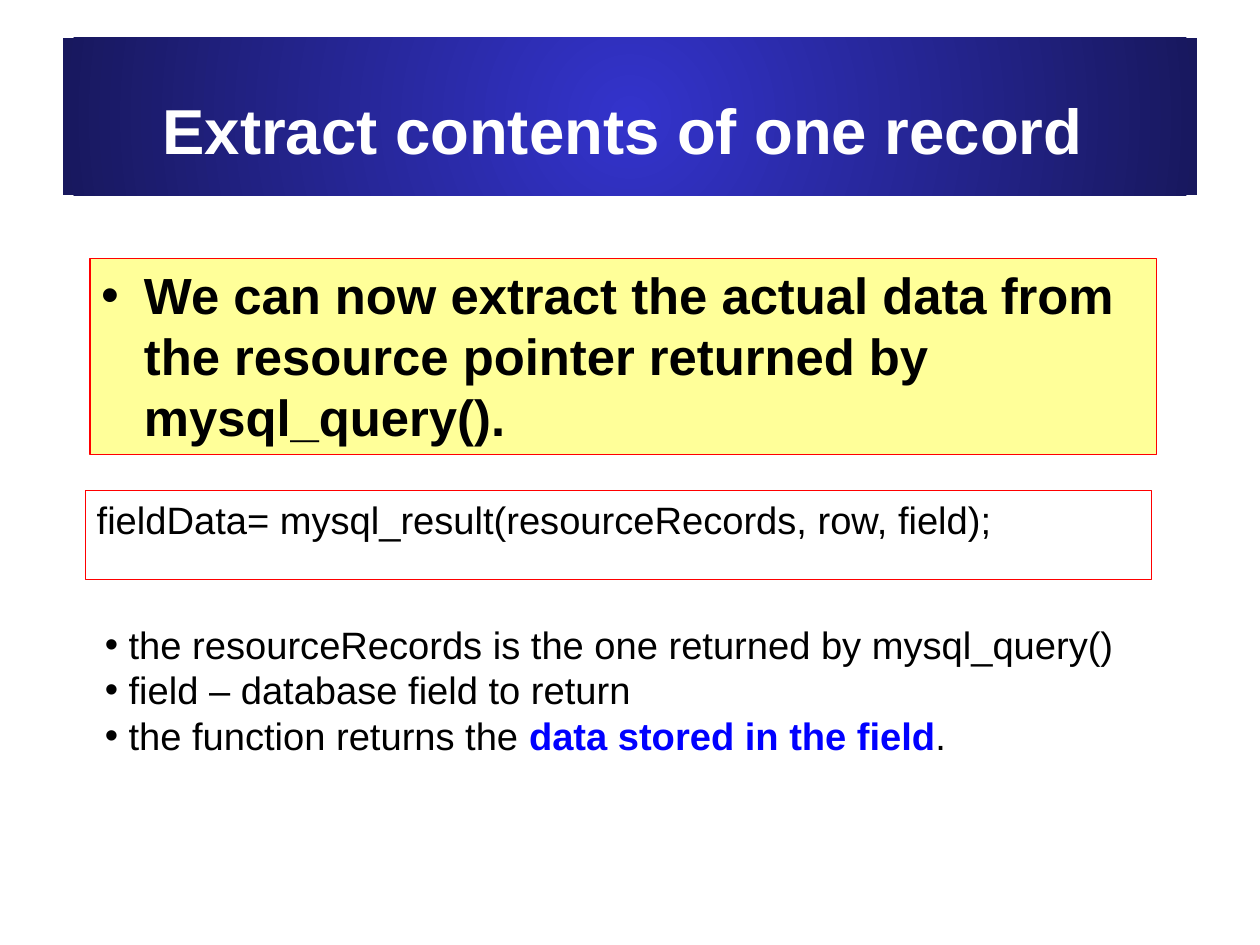
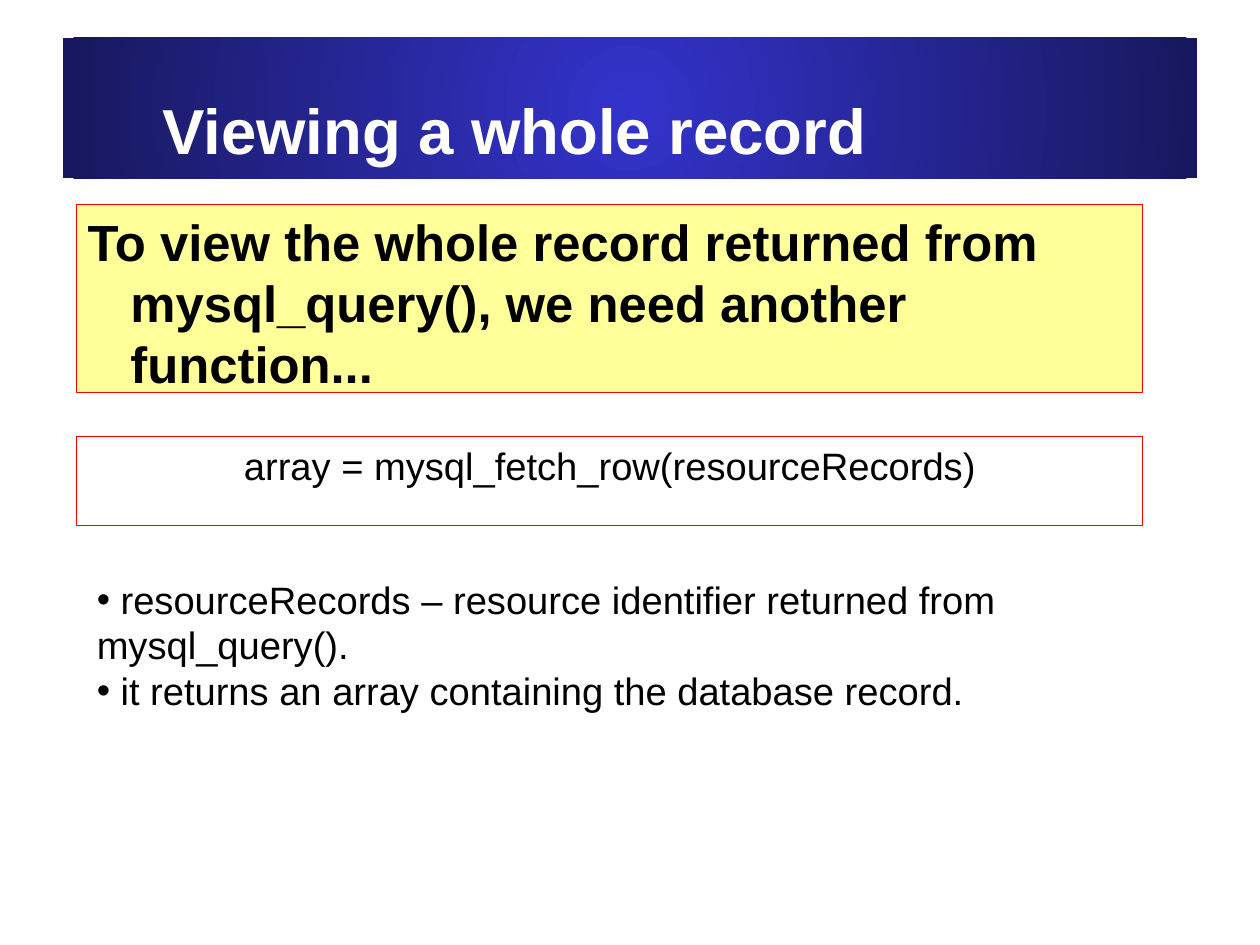
"""Builds two slides on reading records returned by a database query."""
from lxml import etree
from pptx import Presentation
from pptx.dml.color import RGBColor
from pptx.enum.shapes import MSO_SHAPE
from pptx.enum.text import MSO_ANCHOR, MSO_AUTO_SIZE, PP_ALIGN
from pptx.oxml.ns import qn
from pptx.util import Cm, Pt

RECTANGLE = MSO_SHAPE.RECTANGLE
TOP = MSO_ANCHOR.TOP
NO_AUTOFIT = MSO_AUTO_SIZE.NONE
LEFT, CENTER = PP_ALIGN.LEFT, PP_ALIGN.CENTER

FONT = "Arial"
BLACK, WHITE, RED, YELLOW = "000000", "FFFFFF", "FF0000", "FFFF99"
BLUE, BAND_CENTER, BAND_EDGE = "0000FF", "3333CC", "18185E"
BOX_WIDTH, CODE_HEIGHT, LIST_WIDTH = 23.7, 1.98, 24.03
BOX_INSETS, TITLE_INSETS = (0.25, 0.13, 0.25, 0.13), (2.21, 1.19, 0, 0)
HANGING, FLUSH = (0.95, -0.95), (0, -0.43)


def color(code):
    return RGBColor.from_string(code)


class RecordDeck:
    def __init__(self):
        self.deck = Presentation()
        self.deck.slide_width, self.deck.slide_height = Cm(28), Cm(21)
        self.page = None

    def place(self, shape, left, top, width, height):
        shape.left, shape.top = Cm(left), Cm(top)
        shape.width, shape.height = Cm(width), Cm(height)

    def frame(self, shape, insets):
        frame = shape.text_frame
        frame.word_wrap, frame.auto_size = True, NO_AUTOFIT
        frame.vertical_anchor = TOP
        (frame.margin_left, frame.margin_top,
         frame.margin_right, frame.margin_bottom) = map(Cm, insets)
        return frame

    def fill_para(self, para, spans, size, align=LEFT, indent=(0, 0), bullet=False):
        para.alignment, para.space_before = align, Pt(0)
        properties = para._p.get_or_add_pPr()
        properties.set("marL", str(Cm(indent[0])))
        properties.set("indent", str(Cm(indent[1])))
        if bullet:
            bullet_color = etree.SubElement(properties, qn("a:buClr"))
            etree.SubElement(bullet_color, qn("a:srgbClr")).set("val", BLACK)
            etree.SubElement(properties, qn("a:buFont")).set("typeface", FONT)
            etree.SubElement(properties, qn("a:buChar")).set("char", "•")
        for text, code, bold in spans:
            span = para.add_run()
            span.text = text
            span.font.name, span.font.size, span.font.bold = FONT, Pt(size), bold
            span.font.color.rgb = color(code)

    def add_page(self, title, band_height):
        self.page = self.deck.slides.add_slide(self.deck.slide_layouts[1])
        band = self.page.shapes.title
        self.place(band, 1.4, 0.84, 25.2, band_height)
        band.fill.gradient()
        for stop, code in zip(band.fill.gradient_stops, (BAND_CENTER, BAND_EDGE)):
            stop.color.rgb = color(code)
        gradient = band._element.spPr.find(qn("a:gradFill"))
        gradient.remove(gradient.find(qn("a:lin")))
        circle = etree.SubElement(gradient, qn("a:path"))
        circle.set("path", "circle")
        center = etree.SubElement(circle, qn("a:fillToRect"))
        for side in "ltrb":
            center.set(side, "50000")
        para = self.frame(band, TITLE_INSETS).paragraphs[0]
        self.fill_para(para, [(title, WHITE, True)], 40)

    def add_box(self, left, top, height, fill, text, size, bold, **style):
        box = self.page.shapes.add_shape(
            RECTANGLE, Cm(left), Cm(top), Cm(BOX_WIDTH), Cm(height))
        box.shadow.inherit = False
        box.fill.solid()
        box.fill.fore_color.rgb = color(fill)
        box.line.color.rgb, box.line.width = color(RED), Pt(0.75)
        para = self.frame(box, BOX_INSETS).paragraphs[0]
        self.fill_para(para, [(text, BLACK, bold)], size, indent=HANGING, **style)

    def add_message(self, left, top, height, text, bullet=False):
        self.add_box(left, top, height, YELLOW, text, 32, True, bullet=bullet)

    def add_code(self, left, top, text, align=LEFT):
        self.add_box(left, top, CODE_HEIGHT, WHITE, text, 24, False, align=align)

    def add_list(self, left, top, height, items):
        body = self.page.placeholders[1]
        self.place(body, left, top, LIST_WIDTH, height)
        frame = self.frame(body, BOX_INSETS)
        for index, spans in enumerate(items):
            para = frame.add_paragraph() if index else frame.paragraphs[0]
            self.fill_para(para, spans, 24, indent=FLUSH, bullet=True)


def main():
    show = RecordDeck()

    show.add_page("Extract contents of one record", 3.5)
    show.add_message(2, 5.74, 4.37, "We can now extract the actual data from the "
                     "resource pointer returned by mysql_query().", bullet=True)
    show.add_code(1.9, 10.9, "fieldData= mysql_result(resourceRecords, row, field);")
    show.add_list(2.08, 13.67, 4.17, [
        [(" the resourceRecords is the one returned by mysql_query()", BLACK, False)],
        [(" field – database field to return", BLACK, False)],
        [(" the function returns the ", BLACK, False),
         ("data stored in the field", BLUE, True), (".", BLACK, False)],
    ])

    show.add_page("Viewing a whole record", 3.12)
    show.add_message(1.7, 4.55, 4.17, "To view the whole record returned from "
                     "mysql_query(), we need another function...")
    show.add_code(1.7, 9.7, "array = mysql_fetch_row(resourceRecords)", CENTER)
    show.add_list(1.9, 12.67, 3.18, [
        [(" resourceRecords – resource identifier returned from mysql_query().",
          BLACK, False)],
        [(" it returns an array containing the database record.", BLACK, False)],
    ])

    show.deck.save("out.pptx")


if __name__ == "__main__":
    main()
